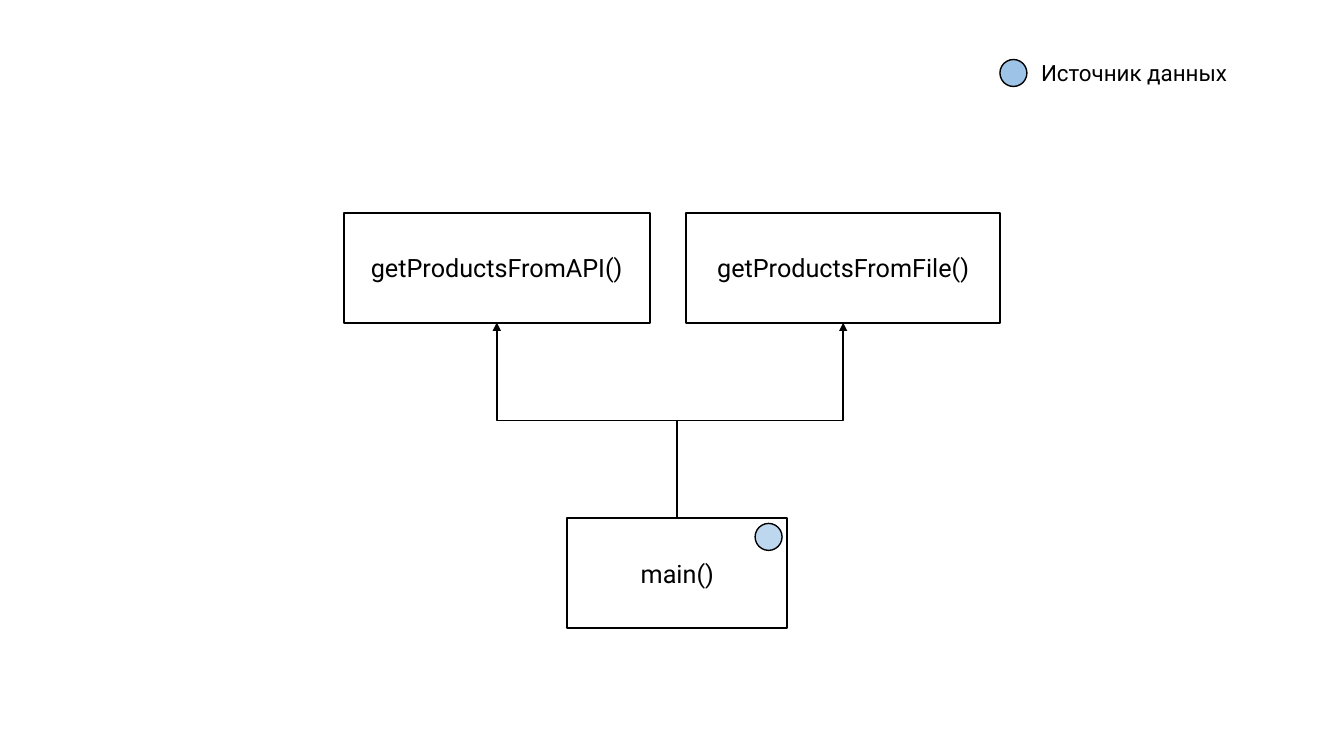
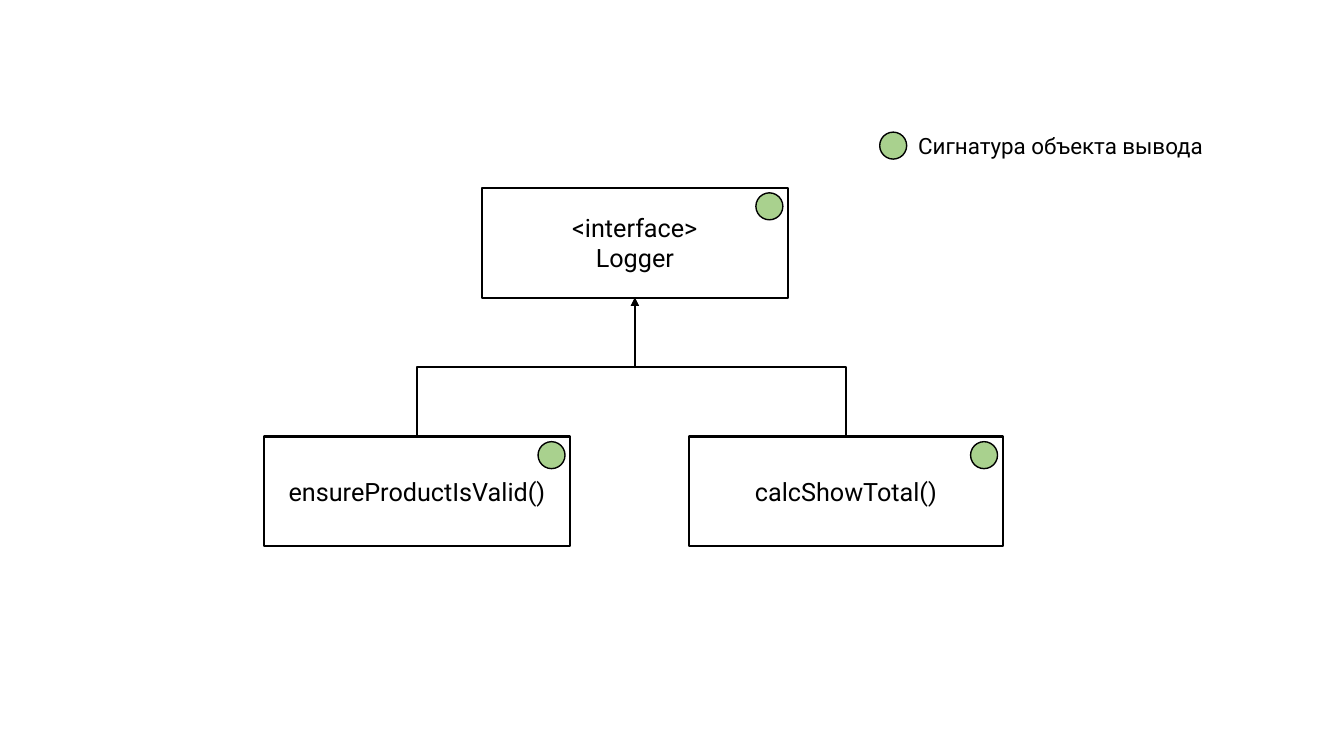
"""Build two call diagrams: product sources and the logger interface."""
from dataclasses import dataclass

from pptx import Presentation
from pptx.dml.color import RGBColor
from pptx.enum.shapes import MSO_CONNECTOR, MSO_SHAPE
from pptx.enum.text import MSO_ANCHOR, MSO_AUTO_SIZE, PP_ALIGN
from pptx.oxml.ns import qn
from pptx.util import Cm, Pt
from lxml import etree

RECTANGLE, OVAL, ELBOW = MSO_SHAPE.RECTANGLE, MSO_SHAPE.OVAL, MSO_CONNECTOR.ELBOW
LEFT, CENTER, MIDDLE = PP_ALIGN.LEFT, PP_ALIGN.CENTER, MSO_ANCHOR.MIDDLE
FIT_SHAPE = MSO_AUTO_SIZE.SHAPE_TO_FIT_TEXT
TOP_SITE, BOTTOM_SITE = 0, 2
QUARTER_TURN_LEFT = "16200000"


@dataclass(frozen=True)
class Theme:
    """Colours, type sizes and line widths of both slides."""
    font: str = "Roboto"
    ink: RGBColor = RGBColor(0, 0, 0)
    paper: RGBColor = RGBColor(0xFF, 0xFF, 0xFF)
    blue: RGBColor = RGBColor(0x9D, 0xC3, 0xE6)
    pale_blue: RGBColor = RGBColor(0xBD, 0xD7, 0xEE)
    green: RGBColor = RGBColor(0xA9, 0xD1, 0x8E)
    box_text: Pt = Pt(18)
    legend_text: Pt = Pt(16)
    box_line: Pt = Pt(1.5)
    dot_line: Pt = Pt(1)
    arrow_line: Pt = Pt(1.25)


THEME = Theme()
SLIDE_SIZE = Cm(33.87), Cm(19.05)
BOX_HEIGHT = Cm(2.77)
DOT = Cm(0.68)
DOT_INSET = Cm(0.13)
LEGEND_HEIGHT = Cm(0.94)

DIAGRAMS = [
    {
        "boxes": {
            "main": (["main()"], 14.3, 13.06, 5.54, THEME.pale_blue),
            "api": (["getProductsFromAPI()"], 8.66, 5.36, 7.72, None),
            "file": (["getProductsFromFile()"], 17.3, 5.36, 7.9, None),
        },
        "arrows": [("main", "api"), ("main", "file")],
        "legend": ("Источник данных", 25.2, 25.86, 1.37, 5.44, CENTER, THEME.blue),
    },
    {
        "boxes": {
            "ensure": (["ensureProductIsValid()"], 6.65, 11, 7.72, THEME.green),
            "total": (["calcShowTotal()"], 17.37, 11, 7.9, THEME.green),
            "logger": (["<interface>", "Logger"], 12.14, 4.73, 7.72, THEME.green),
        },
        "arrows": [("ensure", "logger"), ("total", "logger")],
        "legend": ("Сигнатура объекта вывода", 22.17, 22.89, 3.2, 8.03, LEFT, THEME.green),
    },
]


def write(frame, lines, size, align):
    font_format = {"name": THEME.font, "size": size}
    for index, line in enumerate(lines):
        paragraph = frame.add_paragraph() if index else frame.paragraphs[0]
        paragraph.alignment = align
        run = paragraph.add_run()
        run.text = line
        for key, value in font_format.items():
            setattr(run.font, key, value)
        run.font.color.rgb = THEME.ink


def draw_shape(slide, kind, place, fill, line_width):
    shape = slide.shapes.add_shape(kind, *place)
    shape.shadow.inherit = False
    shape.fill.solid()
    shape.fill.fore_color.rgb = fill
    shape.line.color.rgb = THEME.ink
    shape.line.width = line_width
    return shape


def draw_dot(slide, left, top, fill):
    draw_shape(slide, OVAL, (left, top, DOT, DOT), fill, THEME.dot_line)


def draw_box(slide, lines, left, top, width, dot_fill):
    place = Cm(left), Cm(top), Cm(width), BOX_HEIGHT
    box = draw_shape(slide, RECTANGLE, place, THEME.paper, THEME.box_line)
    box.text_frame.vertical_anchor = MIDDLE
    write(box.text_frame, lines, THEME.box_text, CENTER)
    if dot_fill is not None:
        dot_left = box.left + box.width - DOT - DOT_INSET
        draw_dot(slide, dot_left, box.top + DOT_INSET, dot_fill)
    return box


def draw_arrow(slide, caller, target):
    start_x, start_y = caller.left + caller.width // 2, caller.top
    end_x, end_y = target.left + target.width // 2, target.top + target.height
    arrow = slide.shapes.add_connector(ELBOW, start_x, start_y, end_x, end_y)
    arrow.begin_connect(caller, TOP_SITE)
    arrow.end_connect(target, BOTTOM_SITE)

    center_x, center_y = (start_x + end_x) // 2, (start_y + end_y) // 2
    half_rise, half_run = (start_y - end_y) // 2, (end_x - start_x) // 2
    turned_ends = {
        "begin_x": center_x - half_rise, "begin_y": center_y - half_run,
        "end_x": center_x + half_rise, "end_y": center_y + half_run,
    }
    for key, value in turned_ends.items():
        setattr(arrow, key, value)
    arrow.line.color.rgb = THEME.ink
    arrow.line.width = THEME.arrow_line

    properties = arrow.element.spPr
    properties.find(qn("a:xfrm")).set("rot", QUARTER_TURN_LEFT)
    etree.SubElement(properties.find(qn("a:ln")), qn("a:tailEnd"), type="triangle")
    etree.SubElement(properties, qn("a:effectLst"))


def draw_legend(slide, text, dot_left, left, top, width, align, fill):
    dot_top = Cm(top) + (LEGEND_HEIGHT - DOT) // 2
    draw_dot(slide, Cm(dot_left), dot_top, fill)
    label = slide.shapes.add_textbox(Cm(left), Cm(top), Cm(width), LEGEND_HEIGHT)
    label.text_frame.word_wrap = False
    label.text_frame.auto_size = FIT_SHAPE
    write(label.text_frame, [text], THEME.legend_text, align)


def main():
    deck = Presentation()
    deck.slide_width, deck.slide_height = SLIDE_SIZE
    blank = deck.slide_layouts.get_by_name("Blank")
    for diagram in DIAGRAMS:
        slide = deck.slides.add_slide(blank)
        boxes = {key: draw_box(slide, *box) for key, box in diagram["boxes"].items()}
        for caller, target in diagram["arrows"]:
            draw_arrow(slide, boxes[caller], boxes[target])
        draw_legend(slide, *diagram["legend"])
    deck.save("out.pptx")


if __name__ == "__main__":
    main()
